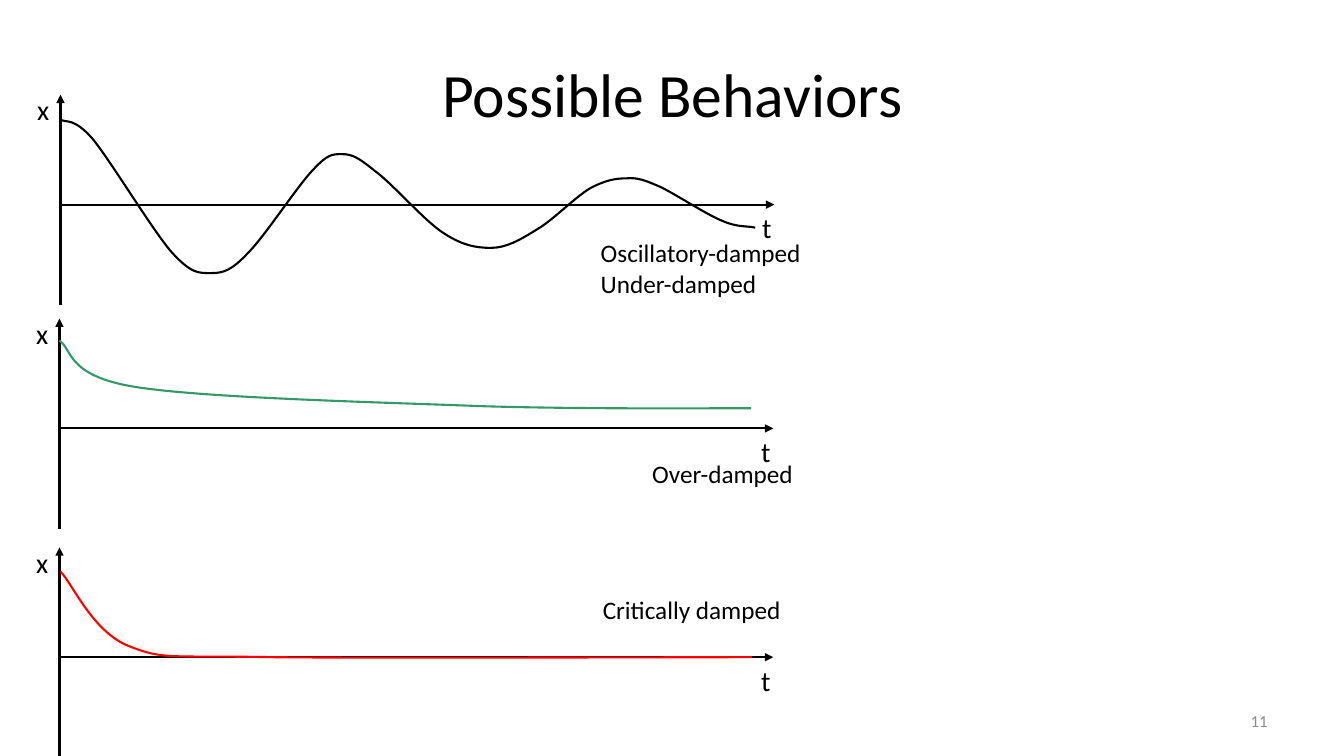
from pptx import Presentation
from pptx.dml.color import RGBColor
from pptx.enum.shapes import MSO_CONNECTOR as Link
from pptx.enum.text import MSO_ANCHOR as Anchor, MSO_AUTO_SIZE as Fit, PP_ALIGN as Align
from pptx.oxml.ns import qn
from pptx.util import Inches, Pt
from lxml.etree import SubElement

BLACK = "000000"
GRAY = "8C8C8C"
GREEN = "339966"
RED = "FF0000"

PLOTS = [
    (0.6, 2.03, BLACK, [
        (0.6, 1.19), (0.65, 1.22), (0.73, 1.16), (0.92, 1.38),
        (1.1, 1.6), (1.51, 2.28), (1.7, 2.5),
        (1.9, 2.72), (1.97, 2.71), (2.1, 2.71),
        (2.22, 2.71), (2.3, 2.68), (2.46, 2.51),
        (2.63, 2.34), (2.94, 1.86), (3.1, 1.69),
        (3.25, 1.53), (3.29, 1.53), (3.39, 1.53),
        (3.49, 1.53), (3.55, 1.56), (3.71, 1.69),
        (3.88, 1.81), (4.19, 2.17), (4.38, 2.3),
        (4.57, 2.43), (4.71, 2.46), (4.87, 2.46),
        (5.02, 2.46), (5.16, 2.38), (5.32, 2.28),
        (5.48, 2.19), (5.7, 1.96), (5.85, 1.87),
        (6, 1.79), (6.1, 1.77), (6.21, 1.77),
        (6.33, 1.76), (6.4, 1.79), (6.56, 1.86),
        (6.72, 1.94), (7.01, 2.13), (7.16, 2.19),
        (7.31, 2.26), (7.42, 2.24), (7.49, 2.26)]),
    (0.59, 4.25, GREEN, [
        (0.59, 3.38), (0.72, 3.46), (0.65, 3.73), (1.35, 3.84),
        (2.05, 3.95), (3.76, 3.99), (4.78, 4.03),
        (5.79, 4.06), (7, 4.05), (7.45, 4.05)]),
    (0.59, 6.52, RED, [
        (0.6, 5.67), (0.72, 5.79), (0.92, 6.27), (1.28, 6.41),
        (1.63, 6.55), (1.68, 6.5), (2.71, 6.52),
        (3.75, 6.53), (6.47, 6.52), (7.46, 6.52)]),
]

NOTES = [
    ("Oscillatory-damped\nUnder-damped", (5.86, 2.31, 2.21, 0.71)),
    ("Over-damped", (6.37, 4.5, 1.62, 0.4)),
    ("Critically damped", (5.88, 5.85, 1.99, 0.4)),
]


def color(code):
    return RGBColor.from_string(code)


def write(slide, text, box, size, tint=BLACK, align=Align.LEFT):
    frame = slide.shapes.add_textbox(*map(Inches, box)).text_frame
    para = frame.paragraphs[0]
    para.text = text
    para.alignment = align
    for run in para.runs:
        run.font.name = "Calibri"
        run.font.size = Pt(size)
        run.font.color.rgb = color(tint)
    return frame


def label(slide, text, box, size):
    frame = write(slide, text, box, size)
    frame.word_wrap = False
    frame.auto_size = Fit.SHAPE_TO_FIT_TEXT


def block(slide, text, box, size, tint, align):
    frame = write(slide, text, box, size, tint, align)
    frame.word_wrap = True
    frame.vertical_anchor = Anchor.MIDDLE


def stroke(shape, tint):
    shape.line.color.rgb = color(tint)
    shape.line.width = Pt(1.5)


def arrow(slide, start, end):
    line = slide.shapes.add_connector(Link.STRAIGHT, *map(Inches, start + end))
    stroke(line, BLACK)
    SubElement(line.line._get_or_add_ln(), qn("a:tailEnd"), type="triangle")
    SubElement(line._element.spPr, qn("a:effectLst"))


def curve(slide, points, tint):
    spots = [(Inches(x), Inches(y)) for x, y in points]
    maker = slide.shapes.build_freeform(*spots[0])
    maker.add_line_segments(spots[1:], close=False)
    shape = maker.convert_to_shape()
    shape.shadow.inherit = False
    shape.fill.background()
    stroke(shape, tint)
    steps = list(shape._element.iter(qn("a:lnTo")))
    for i in range(0, len(steps), 3):
        bend = SubElement(steps[i].getparent(), qn("a:cubicBezTo"))
        for step in steps[i:i + 3]:
            bend.append(step[0])
            step.getparent().remove(step)


def plot(slide, x, y, tint, points):
    arrow(slide, (x, y), (x + 7.08, y))
    arrow(slide, (x, y + 1), (x, y - 1.09))
    label(slide, "t", (x + 6.86, y + 0.01, 0.3, 0.44), 20)
    label(slide, "x", (x - 0.33, y - 1.16, 0.32, 0.44), 20)
    curve(slide, points, tint)


def main():
    deck = Presentation()
    deck.slide_width = Inches(13.33)
    deck.slide_height = Inches(7.5)
    slide = deck.slides.add_slide(deck.slide_layouts[6])
    block(slide, "11", (9.56, 6.95, 3.11, 0.4), 12, GRAY, Align.RIGHT)
    block(slide, "Possible Behaviors", (0.67, 0.3, 12, 1.25), 44, BLACK, Align.CENTER)
    for item in PLOTS:
        plot(slide, *item)
    for text, box in NOTES:
        label(slide, text, box, 18)
    deck.save("out.pptx")


if __name__ == "__main__":
    main()
